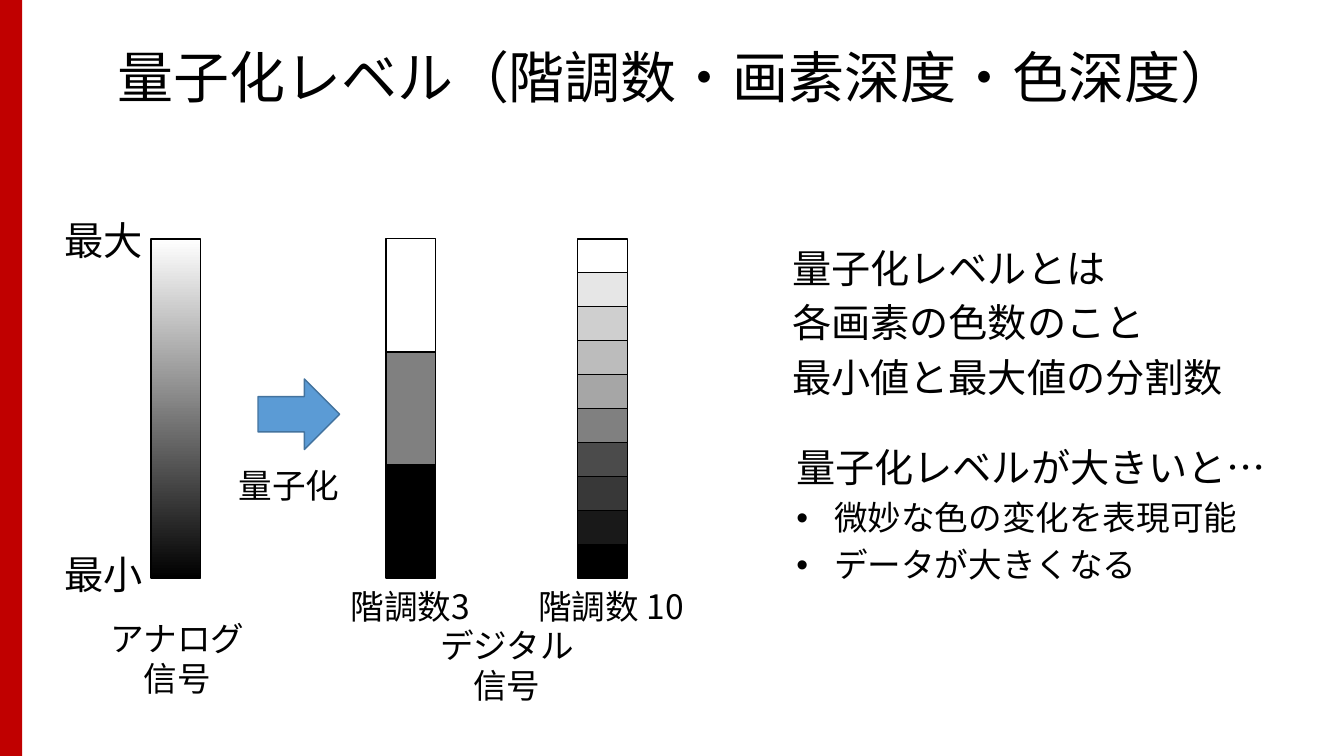
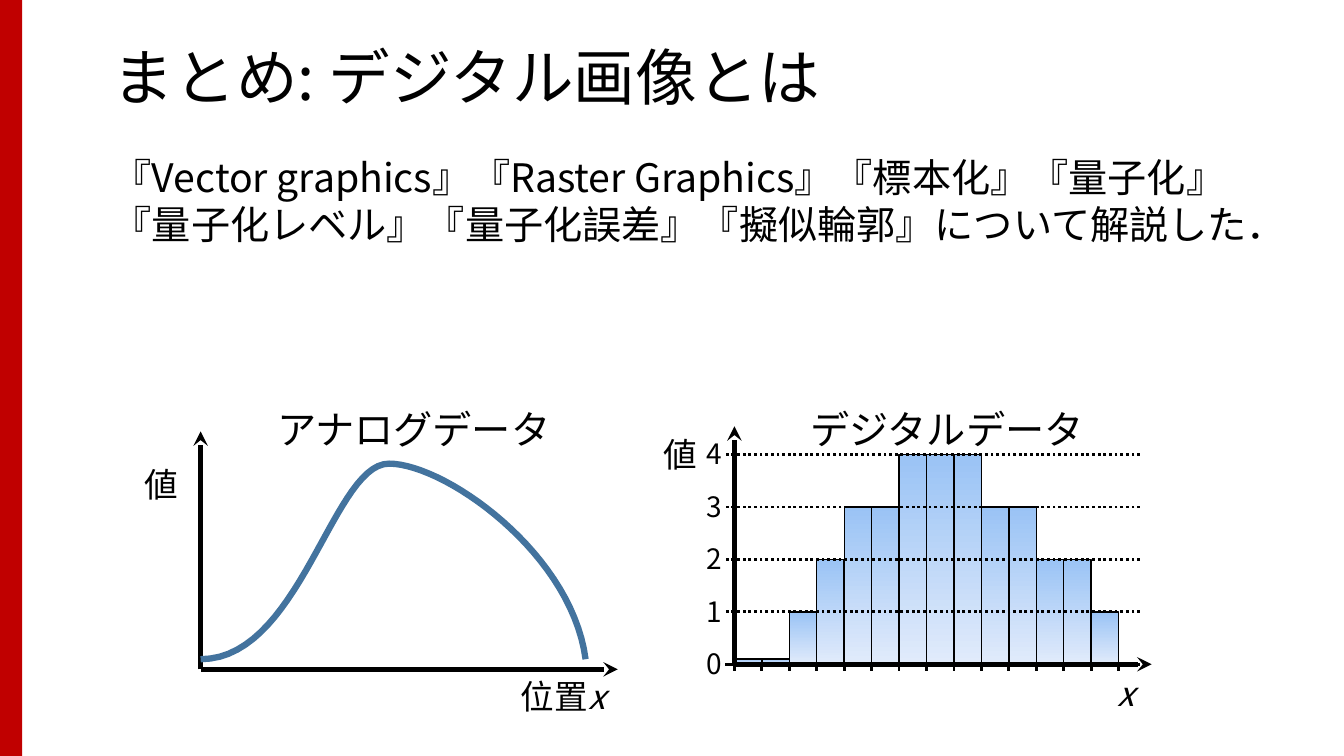
import pptx
import pptx.util
import pptx.dml.color
import pptx.enum.dml
import pptx.enum.shapes
import pptx.enum.text
import pptx.oxml.ns
from dataclasses import dataclass
from lxml import etree

Pt = pptx.util.Pt
Shape = pptx.enum.shapes.MSO_SHAPE
Align = pptx.enum.text.PP_ALIGN
qn = pptx.oxml.ns.qn


@dataclass(frozen=True)
class Theme:
    font: str = "Noto Sans CJK JP"
    text: str = "000000"
    band: str = "C00000"
    arrow: str = "5B9BD5"
    curve: str = "43739E"
    bar: tuple = ("9AC3F5", "E1EBFB")
    ramp: tuple = ("FFFFFF", "000000")
    title: int = 44
    long_title: int = 40
    head: int = 28
    label: int = 24
    scale: int = 20
    leading: float = 1.2
    hairline: float = 1
    rule: float = 2
    axis: float = 3.5
    stroke: float = 4.5


T = Theme()
WIDTH, HEIGHT = 960, 540

# Content: level slide
LEVEL_TITLE = "量子化レベル（階調数・画素深度・色深度）"
# (text, size, bulleted)
MEANING = [("量子化レベルとは", T.head, False),
           ("各画素の色数のこと", T.head, False),
           ("最小値と最大値の分割数", T.head, False)]
EFFECT = [("量子化レベルが大きいと…", T.head, False),
          ("微妙な色の変化を表現可能", T.label, True),
          ("データが大きくなる", T.label, True)]
# (left, greys from top to bottom)
STACKS = [
    (275.8, ["FFFFFF", "808080", "000000"]),
    (412.6, ["FFFFFF", "E6E6E6", "CFCFCF", "BCBCBC", "A6A6A6",
             "808080", "4B4B4B", "383838", "191919", "000000"]),
]
# (text, box, format)
LEVEL_LABELS = [
    ("最大", (38.9, 151.2, 71.3, 41), dict(size=T.head)),
    ("最小", (38.9, 389.5, 71.3, 41), dict(size=T.head)),
    ("量子化", (163.4, 328.3, 87.2, 36), {}),
    ("階調数3", (243.4, 414.7, 102.2, 36), {}),
    ("階調数 10", (377.3, 414.7, 125.3, 36), {}),
    ("アナログ信号", (68.4, 437.8, 116.6, 65.5), dict(align=Align.CENTER)),
    ("デジタル信号", (303.8, 442.8, 116.6, 65.5), dict(align=Align.CENTER)),
]

# Content: summary slide
SUMMARY_TITLE = "まとめ: デジタル画像とは"
SUMMARY = ("『Vector graphics』『Raster Graphics』『標本化』『量子化』"
           "『量子化レベル』『量子化誤差』『擬似輪郭』について解説した．")
SUMMARY_LABELS = [
    ("アナログデータ", (190.8, 285.8, 212.4, 41), dict(size=T.head)),
    ("デジタルデータ", (571.7, 285.8, 212.4, 41), dict(size=T.head)),
    ("位置", (365, 479.5, 76.3, 36), dict(variable="x")),
    ("値", (96.5, 327.6, 38.9, 36), {}),
    ("", (791.3, 477.4, 28.1, 36), dict(variable="x")),
    ("値", (466.6, 306.7, 38.9, 36), {}),
]
SAMPLES = [0.1, 0.1, 1, 2, 3, 3, 4, 4, 4, 3, 3, 2, 2, 1]
MAX_LEVEL = 4
# Start point, then two cubic pieces of three points each
CURVE = [(143.3, 470.9), (214.6, 470.9), (237.6, 331.2), (277.9, 331.2),
         (317.5, 331.2), (408.2, 394.6), (418.3, 470.9)]


def rgb(code):
    return pptx.dml.color.RGBColor.from_string(code)


def write(tf, text, *, size=T.label, align=Align.LEFT, before=0, leading=None,
          bullet=False, variable="", first=True):
    """Add one paragraph; variable is a trailing run in italics."""
    p = tf.paragraphs[0] if first else tf.add_paragraph()
    p.alignment = align
    p.space_before = Pt(before)
    p.line_spacing = leading or Pt(round(T.leading * size, 1))
    pPr = p._p.get_or_add_pPr()
    indent = Pt(27) if bullet else 0
    pPr.set("marL", str(indent))
    pPr.set("indent", str(-indent))
    if bullet:
        etree.SubElement(pPr, qn("a:buFont")).set("typeface", "Arial")
        etree.SubElement(pPr, qn("a:buChar")).set("char", "•")
    else:
        etree.SubElement(pPr, qn("a:buNone"))
    for part, italic in ((text, False), (variable, True)):
        if not part:
            continue
        r = p.add_run()
        r.text = part
        r.font.size = Pt(size)
        r.font.italic = italic
        r.font.name = T.font
        r.font.color.rgb = rgb(T.text)
        ea = etree.SubElement(r._r.get_or_add_rPr(), qn("a:ea"))
        ea.set("typeface", T.font)


def place(sp, box):
    sp.left, sp.top, sp.width, sp.height = (Pt(v) for v in box)
    tf = sp.text_frame
    tf.word_wrap = True
    tf.auto_size = pptx.enum.text.MSO_AUTO_SIZE.NONE
    return tf


def add_title(slide, text, box, **fmt):
    tf = place(slide.shapes.title, box)
    tf.vertical_anchor = pptx.enum.text.MSO_ANCHOR.MIDDLE
    write(tf, text, leading=0.9, **fmt)


def add_labels(slide, labels):
    for text, box, fmt in labels:
        sp = slide.shapes.add_textbox(0, 0, 0, 0)
        write(place(sp, box), text, **fmt)


def add_box(slide, box, fill, line=T.text, kind=Shape.RECTANGLE):
    """Draw a preset shape; a tuple as fill is a gradient from top to bottom."""
    sp = slide.shapes.add_shape(kind, *(Pt(v) for v in box))
    sp.shadow.inherit = False
    if isinstance(fill, tuple):
        sp.fill.gradient()
        sp.fill.gradient_angle = 270
        for stop, code in zip(sp.fill.gradient_stops, fill):
            stop.color.rgb = rgb(code)
    else:
        sp.fill.solid()
        sp.fill.fore_color.rgb = rgb(fill)
    if line:
        sp.line.color.rgb = rgb(line)
        sp.line.width = Pt(T.hairline)
    else:
        sp.line.fill.background()
    return sp


def add_line(slide, start, end, width=T.rule, dotted=False, arrow=False):
    c = slide.shapes.add_connector(pptx.enum.shapes.MSO_CONNECTOR.STRAIGHT,
                                   *(Pt(v) for v in (*start, *end)))
    c.line.color.rgb = rgb(T.text)
    c.line.width = Pt(width)
    if dotted:
        c.line.dash_style = pptx.enum.dml.MSO_LINE.ROUND_DOT
    if arrow:
        ln = c.line._get_or_add_ln()
        etree.SubElement(ln, qn("a:tailEnd")).set("type", "stealth")
    etree.SubElement(c._element.spPr, qn("a:effectLst"))


def add_axes(slide, x, y):
    for end in ((x + 298, y), (x, y - 170)):
        add_line(slide, (x, y), end, T.axis, arrow=True)


def add_curve(slide, points, steps=30):
    def bezier(ctrl, t):
        weights = ((1 - t) ** 3, 3 * t * (1 - t) ** 2, 3 * t * t * (1 - t), t ** 3)
        return tuple(Pt(sum(w * pt[i] for w, pt in zip(weights, ctrl)))
                     for i in (0, 1))

    track = [bezier(points[i:i + 4], k / steps)
             for i in range(0, len(points) - 1, 3) for k in range(1, steps + 1)]
    fb = slide.shapes.build_freeform(*(Pt(v) for v in points[0]))
    fb.add_line_segments(track, close=False)
    sp = fb.convert_to_shape()
    sp.shadow.inherit = False
    sp.fill.background()
    sp.line.color.rgb = rgb(T.curve)
    sp.line.width = Pt(T.stroke)


def level_slide(prs):
    slide = prs.slides.add_slide(prs.slide_layouts[3])
    add_title(slide, LEVEL_TITLE, (61.9, 28.8, 843.1, 57.6),
              size=T.long_title, align=Align.CENTER)
    # Explanations
    for idx, lines, box in ((1, MEANING, (558.7, 170.6, 383, 132.5)),
                            (2, EFFECT, (561.6, 313.2, 382.3, 103))):
        tf = place(slide.placeholders[idx], box)
        for i, (text, size, bullet) in enumerate(lines):
            write(tf, text, size=size, bullet=bullet,
                  before=0.2 * size if i else 0, first=i == 0)
    # Tone bars
    top, width, height = 170.6, 35.5, 242.4
    add_box(slide, (108, top, width, height), T.ramp)
    for left, greys in STACKS:
        step = height / len(greys)
        for i, grey in enumerate(greys):
            add_box(slide, (left, top + i * step, width, step), grey)
    add_box(slide, (184.3, 270.7, 58.3, 50.4), T.arrow, T.curve, Shape.RIGHT_ARROW)
    add_labels(slide, LEVEL_LABELS)


def summary_slide(prs):
    slide = prs.slides.add_slide(prs.slide_layouts[1])
    add_title(slide, SUMMARY_TITLE, (73.4, 28.8, WIDTH - 73.4, 57.6), size=T.title)
    write(place(slide.placeholders[1], (73.4, 105.8, 844.6, 416.9)),
          SUMMARY, size=T.head)
    # Analog data
    add_axes(slide, 143.3, 478.1)
    add_curve(slide, CURVE)
    # Digital data
    x0, y0, step, unit = 524.6, 474.5, 19.6, 37.45
    for i, value in enumerate(SAMPLES):
        add_box(slide, (x0 + i * step, y0 - value * unit, step, value * unit), T.bar)
    add_axes(slide, x0, y0)
    for i in range(len(SAMPLES) + 1):
        x = x0 + i * step
        add_line(slide, (x, y0), (x, y0 + 5))
    for level in range(MAX_LEVEL + 1):
        y = y0 - level * unit
        add_line(slide, (814.3, y), (517.7, y), dotted=level > 0)
        add_labels(slide, [(str(level), (497.5, y - 16.2, 27.4, 31.7),
                            dict(size=T.scale))])
    add_labels(slide, SUMMARY_LABELS)


def main():
    prs = pptx.Presentation()
    prs.slide_width, prs.slide_height = Pt(WIDTH), Pt(HEIGHT)
    level_slide(prs)
    summary_slide(prs)
    # Shared band: drawn once, then moved to the back of the master
    band = add_box(prs.slides[0], (0, 0, 15.8, HEIGHT), T.band, line=None)
    prs.slide_master.shapes.element.insert(2, band.element)
    prs.save("out.pptx")


if __name__ == "__main__":
    main()
